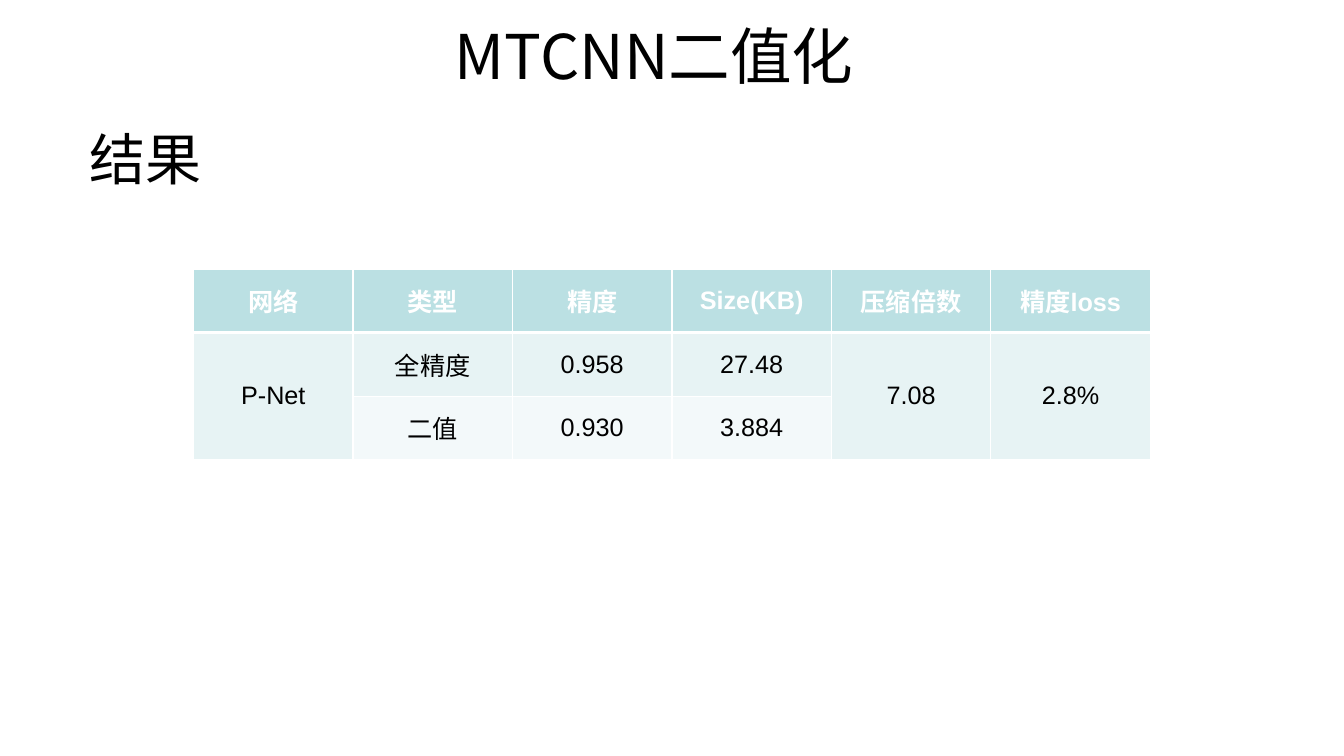
from lxml.etree import SubElement
from pptx import Presentation
from pptx.dml.color import RGBColor
from pptx.enum.text import MSO_ANCHOR as Anchor, PP_ALIGN as Align
from pptx.oxml.ns import qn
from pptx.util import Inches, Pt

SLIDE_W, SLIDE_H = 13.33, 7.5
CJK = "Noto Sans CJK SC"
COLORS = {"ink": "000000", "paper": "FFFFFF", "header": "BBE0E3",
          "band": "E7F3F4", "light": "F3F9FA"}
HEADINGS = ["网络", "类型", "精度", "Size(KB)", "压缩倍数", "精度loss"]
RESULTS = [["P-Net", "全精度", "0.958", "27.48", "7.08", "2.8%"],
           ["", "二值", "0.930", "3.884", "", ""]]
SHARED_COLUMNS = (0, 4, 5)


def write(frame, text, size, font=CJK, color="ink", bold=False, align=Align.CENTER):
    """Put one formatted line of text in a text frame."""
    line = frame.paragraphs[0]
    line.alignment = align
    run = line.add_run()
    run.text = text
    run.font.size, run.font.bold, run.font.name = Pt(size), bold, font
    run.font.color.rgb = RGBColor.from_string(COLORS[color])
    SubElement(run.font._element, qn("a:ea"), typeface=CJK)


def rule_cell(cell, bottom):
    """Draw white borders around a cell, with the given bottom width."""
    properties = cell._tc.get_or_add_tcPr()
    for side, width in (("lnL", 1), ("lnR", 1), ("lnT", 1), ("lnB", bottom)):
        border = SubElement(properties, qn(f"a:{side}"), w=str(Pt(width)))
        paint = SubElement(border, qn("a:solidFill"))
        SubElement(paint, qn("a:srgbClr"), val=COLORS["paper"])


def add_title(slide, text, box):
    """Place the slide title at the top of its box."""
    title = slide.shapes.title
    title.left, title.top, title.width, title.height = map(Inches, box)
    title.text_frame.vertical_anchor = Anchor.TOP
    write(title.text_frame, text, 44)


def add_section(slide, text, box):
    """Place the section heading in its box."""
    section = slide.shapes.add_textbox(*map(Inches, box))
    section.text_frame.word_wrap = False
    write(section.text_frame, text, 40, align=Align.LEFT)


def add_results(slide, box):
    """Fill the box with the results table, sharing cells down the rows."""
    rows = [HEADINGS, *RESULTS]
    table = slide.shapes.add_table(len(rows), len(HEADINGS), *map(Inches, box)).table
    for r, (values, shade) in enumerate(zip(rows, ("header", "band", "light"))):
        heading = r == 0
        for c, value in enumerate(values):
            cell = table.cell(r, c)
            cell.vertical_anchor = Anchor.MIDDLE
            rule_cell(cell, bottom=3 if heading else 1)
            cell.fill.solid()
            cell.fill.fore_color.rgb = RGBColor.from_string(COLORS[shade])
            if value:
                write(cell.text_frame, value, 18, font="Arial", bold=heading,
                      color="paper" if heading else "ink")
    for c in SHARED_COLUMNS:
        table.cell(1, c).merge(table.cell(2, c))


def main():
    """Build the results slide and save it."""
    deck = Presentation()
    deck.slide_width, deck.slide_height = Inches(SLIDE_W), Inches(SLIDE_H)
    slide = deck.slides.add_slide(deck.slide_layouts[5])
    add_title(slide, "MTCNN二值化", (0.49, 0.13, 12, 1.25))
    add_results(slide, (1.92, 2.67, 9.49, 1.89))
    add_section(slide, "结果", (0.79, 1.19, 1.32, 0.77))
    deck.save("out.pptx")


if __name__ == "__main__":
    main()
